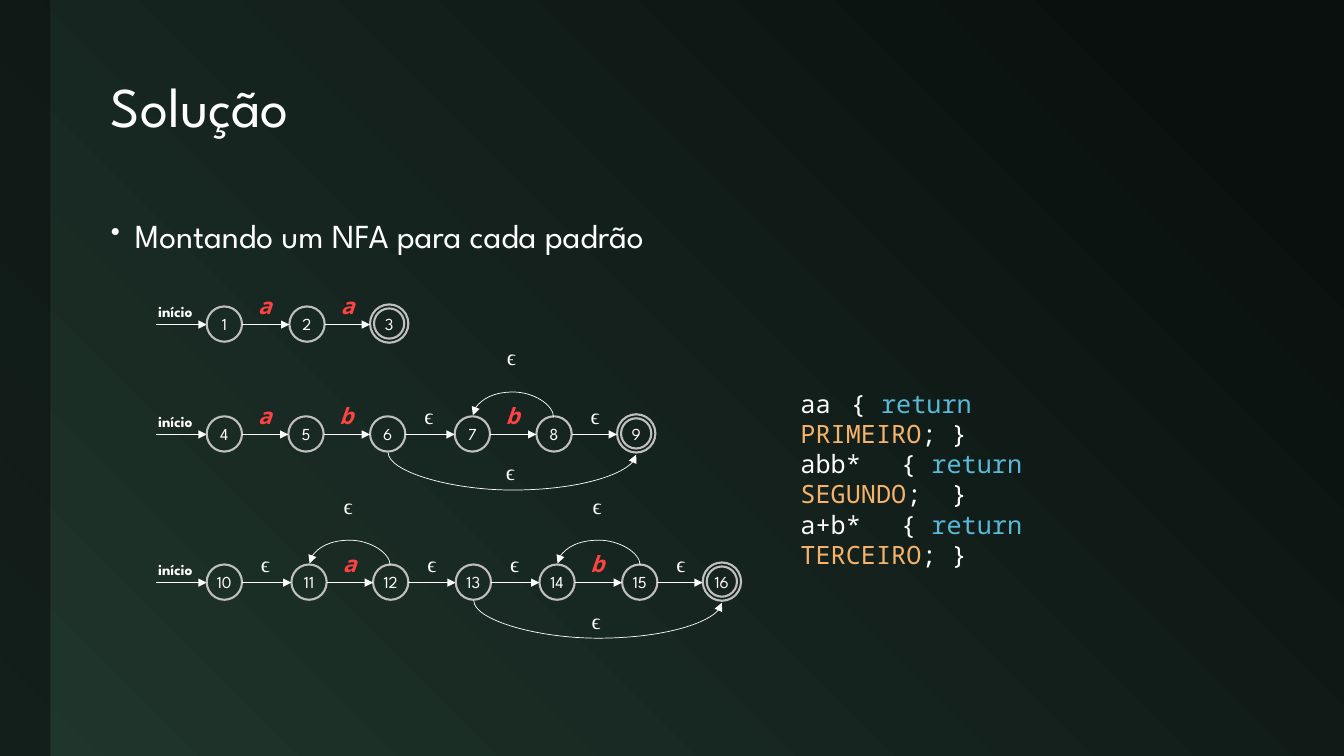
"""Builds the slide that shows one NFA for each pattern."""
from lxml import etree
from pptx import Presentation
from pptx import util as u
from pptx.dml.color import RGBColor
from pptx.enum import shapes, text
from pptx.oxml.ns import qn

WHITE = RGBColor(0xFF, 0xFF, 0xFF)
NIGHT = RGBColor(0x0A, 0x10, 0x0E)
FOREST = RGBColor(0x20, 0x36, 0x2D)
SILVER = RGBColor(0xBF, 0xBF, 0xBF)
RED = RGBColor(0xFF, 0x43, 0x43)
BLUE = RGBColor(0x59, 0xB9, 0xD8)
ORANGE = RGBColor(0xF5, 0xB3, 0x6B)
SANS, MONO, SERIF = "League Spartan", "Noto Sans Mono", "Times New Roman"
EPSILON = "ϵ"
STATE, RING, LABEL_WIDTH = 35, 38, 32


def px(value):
    """Turns pixels, 100 to the inch, into EMU."""
    return u.Emu(value * 9144)


class NfaSlide:
    """Holds the slide and draws its elements in one style."""

    def __init__(self, presentation):
        """Adds a title-only slide with a gradient background."""
        self.slide = presentation.slides.add_slide(presentation.slide_layouts[5])
        self.shapes = self.slide.shapes
        fill = self.slide.background.fill
        fill.gradient()
        fill.gradient_angle = 225
        for stop, color, position in zip(fill.gradient_stops, (NIGHT, FOREST), (0.1, 1)):
            stop.color.rgb = color
            stop.position = position

    def style(self, paragraph, name, size, color=WHITE, bold=False, italic=False):
        """Sets the font of a whole paragraph."""
        font = paragraph.font
        font.name, font.size, font.color.rgb = name, u.Pt(size), color
        font.bold, font.italic = bold, italic

    def title(self, wording, left, top, width, height):
        """Places and formats the title placeholder."""
        title = self.slide.shapes.title
        title.left, title.top, title.width, title.height = map(px, (left, top, width, height))
        frame = title.text_frame
        frame.text = wording
        frame.auto_size = text.MSO_AUTO_SIZE.NONE
        frame.vertical_anchor = text.MSO_ANCHOR.MIDDLE
        paragraph = frame.paragraphs[0]
        paragraph.alignment = text.PP_ALIGN.LEFT
        paragraph.line_spacing = 0.9
        self.style(paragraph, SANS, 40)

    def side_bar(self, width, height):
        """Draws the translucent bar on the left edge."""
        bar = self.shapes.add_shape(shapes.MSO_SHAPE.RECTANGLE, 0, 0, px(width), px(height))
        bar.shadow.inherit = False
        bar.line.fill.background()
        bar.fill.solid()
        bar.fill.fore_color.rgb = NIGHT
        color = bar.element.spPr.find(qn("a:solidFill"))[0]
        etree.SubElement(color, qn("a:alpha"), val="60000")

    def text_box(self, left, top, width, height, wrap=True):
        """Adds an empty text box and returns its frame."""
        frame = self.shapes.add_textbox(*map(px, (left, top, width, height))).text_frame
        frame.word_wrap = wrap
        return frame

    def bullet(self, wording, left, top, width, height):
        """Adds a bulleted line."""
        paragraph = self.text_box(left, top, width, height).paragraphs[0]
        paragraph.text = wording
        paragraph.line_spacing = 1.2
        paragraph.space_before = u.Pt(18)
        self.style(paragraph, SANS, 24)
        properties = paragraph._p.get_or_add_pPr()
        properties.set("marL", str(px(24)))
        properties.set("indent", str(px(-24)))
        size = etree.Element(qn("a:buSzPct"), val="80000")
        character = etree.Element(qn("a:buChar"), char="•")
        for mark in (size, character):
            properties.find(qn("a:defRPr")).addprevious(mark)

    def code(self, rules, left, top, width, height):
        """Adds the scanner rules, one paragraph each."""
        frame = self.text_box(left, top, width, height)
        frame.auto_size = text.MSO_AUTO_SIZE.SHAPE_TO_FIT_TEXT
        frame.margin_right = px(90)
        for index, (pattern, token, ending) in enumerate(rules):
            paragraph = frame.add_paragraph() if index else frame.paragraphs[0]
            self.style(paragraph, MONO, 18)
            pieces = ((pattern + "\t{ ", WHITE), ("return ", BLUE), (token, ORANGE), (ending, WHITE))
            for wording, color in pieces:
                run = paragraph.add_run()
                run.text = wording
                run.font.color.rgb = color

    def symbol(self, wording, left, top):
        """Labels a transition with a letter or with epsilon."""
        empty = wording == EPSILON
        frame = self.text_box(left, top, LABEL_WIDTH, 37, wrap=empty)
        paragraph = frame.paragraphs[0]
        paragraph.text = wording
        if empty:
            self.style(paragraph, SERIF, 16)
        else:
            self.style(paragraph, MONO, 16, RED, bold=True, italic=True)

    def circle(self, left, top, size, wording=""):
        """Draws an outlined circle with a centred number."""
        circle = self.shapes.add_shape(shapes.MSO_SHAPE.OVAL, *map(px, (left, top, size, size)))
        circle.shadow.inherit = False
        circle.fill.background()
        circle.line.color.rgb = SILVER
        circle.line.width = u.Pt(1.5)
        frame = circle.text_frame
        frame.margin_left = frame.margin_right = frame.margin_top = frame.margin_bottom = 0
        frame.vertical_anchor = text.MSO_ANCHOR.MIDDLE
        paragraph = frame.paragraphs[0]
        paragraph.text = wording
        paragraph.alignment = text.PP_ALIGN.CENTER
        self.style(paragraph, SANS, 12)

    def arrow(self, x1, y1, x2, y2, kind=shapes.MSO_CONNECTOR.STRAIGHT):
        """Draws a thin arrow and returns it."""
        arrow = self.shapes.add_connector(kind, *map(px, (x1, y1, x2, y2)))
        arrow.line.color.rgb = WHITE
        arrow.line.width = u.Pt(0.5)
        etree.SubElement(arrow.line._get_or_add_ln(), qn("a:tailEnd"), type="triangle")
        etree.SubElement(arrow.element.spPr, qn("a:effectLst"))
        return arrow

    def arc(self, x1, x2, y, bulge):
        """Draws a curved arrow from x1 to x2, above y if x2 is to the left."""
        middle, half = (x1 + x2) // 2, abs(x2 - x1) // 2
        side = 1 if x2 < x1 else -1
        arc = self.arrow(middle - side, y + half * side, middle + side, y - half * side,
                         shapes.MSO_CONNECTOR.CURVE)
        arc.element.spPr.find(qn("a:xfrm")).set("rot", "16200000")
        geometry = arc.element.spPr.find(qn("a:prstGeom"))
        values = geometry.find(qn("a:avLst"))
        if values is None:
            values = etree.SubElement(geometry, qn("a:avLst"))
        etree.SubElement(values, qn("a:gd"), name="adj1", fmla=f"val {bulge * 50000}")
        label_top = y - 77 if side > 0 else y + 0
        self.symbol(EPSILON, middle - LABEL_WIDTH // 2, label_top)

    def automaton(self, first, top, lefts, symbols, loops=(), skip=None):
        """Draws one NFA as a group; the last state accepts."""
        self.shapes = self.slide.shapes.add_group_shape().shapes
        axis, last = top + 18, len(lefts) - 1
        self.arrow(155, axis, lefts[0], axis)
        start = self.text_box(140, top - 9, 68, 29).paragraphs[0]
        start.text = "início"
        start.alignment = text.PP_ALIGN.CENTER
        self.style(start, SANS, 11, bold=True)
        for index, left in enumerate(lefts):
            number = str(first + index)
            if index == last:
                self.circle(left, top - 2, RING)
                self.circle(left + 4, top + 2, RING - 8, number)
            else:
                self.circle(left, top, STATE, number)
        for left, following, wording in zip(lefts, lefts[1:], symbols):
            self.arrow(left + STATE, axis, following, axis)
            self.symbol(wording, left + (44 if wording == EPSILON else 41), top - 19)
        centres = [left + 18 for left in lefts]
        for index in loops:
            self.arc(centres[index + 1], centres[index], top, 25)
        if skip is not None:
            self.arc(centres[skip], centres[last] + 1, top + 37, 37)
        self.shapes = self.slide.shapes


def main():
    """Builds and saves the presentation."""
    presentation = Presentation()
    presentation.slide_width, presentation.slide_height = px(1333), px(750)
    slide = NfaSlide(presentation)
    slide.side_bar(50, 750)
    slide.title("Solução", 100, 42, 1165, 133)
    slide.bullet("Montando um NFA para cada padrão", 100, 200, 1165, 483)
    slide.code((("aa", "PRIMEIRO", "; }"), ("abb*", "SEGUNDO", ";  }"), ("a+b*", "TERCEIRO", "; }")),
               784, 380, 409, 101)
    slide.automaton(1, 304, (205, 287, 367), "aa")
    slide.automaton(4, 413, (205, 286, 367, 451, 532, 612), "abϵbϵ", loops=(3,), skip=2)
    slide.automaton(10, 560, (205, 289, 370, 452, 535, 617, 697), "ϵaϵϵbϵ", loops=(1, 4), skip=3)
    presentation.save("out.pptx")


if __name__ == "__main__":
    main()
